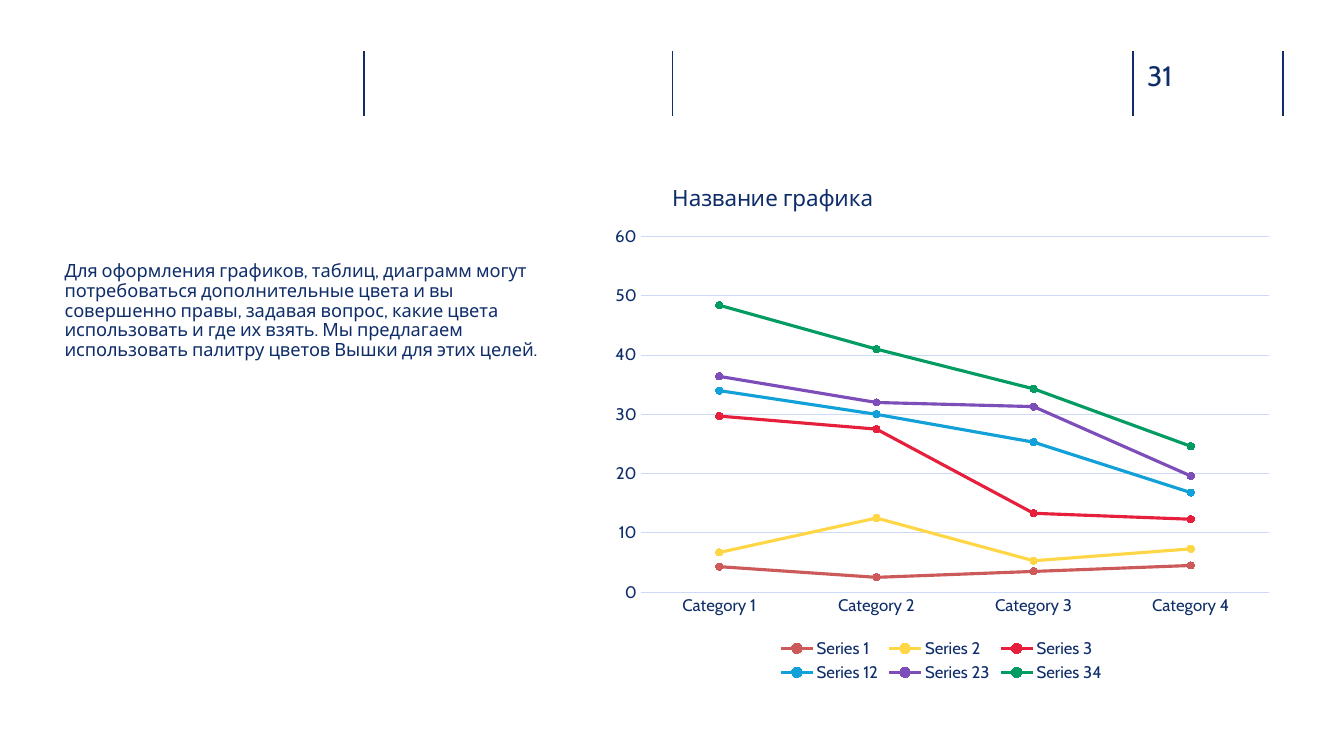
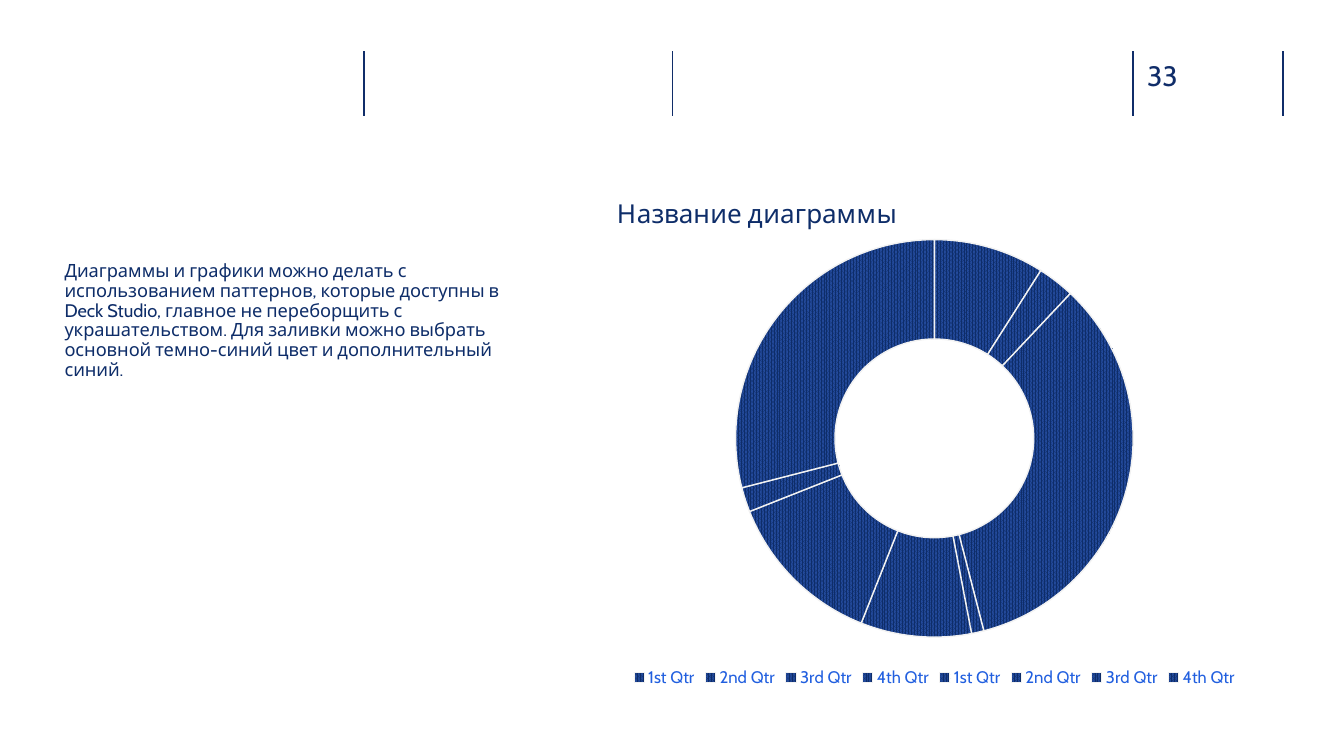
from lxml import etree
from pptx import Presentation
from pptx.chart.data import CategoryChartData
from pptx.dml.color import RGBColor
from pptx.enum import chart as ch, dml, shapes, text
from pptx.oxml import ns
from pptx.util import Pt

FONT = "Cabin"
COLORS = {
    "rule": "102D69", "ink": "0E2D69", "chart": "0F2C68", "grid": "CCDAF8",
    "legend": "215FDF", "pattern": "234A9B", "edge": "F2F2F2",
}
RULES = (259.92, 480.24, 809.28, 916.56)
HEADER = (36.72, 46.08)
NUMBER_BOX = (819.36, 41.76, 52.56, 24.48)
BODY_BOX = (46.08, 187.2, 340.56, 188.64)
LINE_BOX = (428.4, 116.64, 488.16, 373.68)
RING_BOX = (422.64, 117.36, 489.6, 376.56)

LINE_CATS = [f"Category {n}" for n in range(1, 5)]
LINE_SERIES = (
    ("Series 1", (4.3, 2.5, 3.5, 4.5), "CD5A5A", "CD5A5A"),
    ("Series 2", (2.4, 10, 1.8, 2.8), "FFD746", "FFD746"),
    ("Series 3", (23, 15, 8, 5), "E61F3D", "E61F3D"),
    ("Series 12", (4.3, 2.5, 12, 4.5), "11A0D7", "11A0D7"),
    ("Series 23", (2.4, 2, 6, 2.8), "7D4EBA", "96628C"),
    ("Series 34", (12, 9, 3, 5), "029C63", "029C63"),
)
RING_CATS = ["1st Qtr", "2nd Qtr", "3rd Qtr", "4th Qtr"] * 2
RING_VALUES = (9, 3, 34, 1, 9, 13, 2, 29)

LINE_TEXT = (
    "Для оформления графиков, таблиц, диаграмм могут потребоваться "
    "дополнительные цвета и вы совершенно правы, задавая вопрос, какие цвета "
    "использовать и где их взять. Мы предлагаем использовать палитру цветов "
    "Вышки для этих целей."
)
RING_TEXT = (
    "Диаграммы и графики можно делать с использованием паттернов, которые "
    "доступны в Deck Studio, главное не переборщить с украшательством. Для "
    "заливки можно выбрать основной темно-синий цвет и дополнительный синий."
)


def rgb(color):
    return RGBColor.from_string(COLORS.get(color, color))


def points(box):
    return [Pt(v) for v in box]


def set_font(font, size, color):
    font.name, font.size, font.bold = FONT, Pt(size), False
    font.color.rgb = rgb(color)


def set_line(line, color, width):
    line.color.rgb = rgb(color)
    line.width = Pt(width)


def write(tf, content, size, color, spacing=1.0, bottom=0):
    tf.word_wrap = True
    tf.margin_left = tf.margin_top = tf.margin_right = 0
    tf.margin_bottom = Pt(bottom)
    tf.vertical_anchor = text.MSO_ANCHOR.TOP
    p = tf.paragraphs[0]
    p.space_before = Pt(0)
    p.line_spacing = spacing
    r = p.add_run()
    r.text = content
    set_font(r.font, size, color)


def add_header(s, number):
    top, height = HEADER
    for x in RULES:
        rule = s.shapes.add_connector(
            shapes.MSO_CONNECTOR.STRAIGHT, *points((x, top, x, top + height)))
        set_line(rule.line, "rule", 1)
        etree.SubElement(rule.element.spPr, ns.qn("a:effectLst"))
    tf = s.shapes.add_textbox(*points(NUMBER_BOX)).text_frame
    write(tf, number, 20, "rule")
    tf.auto_size = text.MSO_AUTO_SIZE.SHAPE_TO_FIT_TEXT


def add_slide(prs, number, body):
    s = prs.slides.add_slide(prs.slide_layouts[2])
    title = s.shapes.title.element
    title.getparent().remove(title)
    add_header(s, number)
    sp = s.placeholders[1]
    sp.left, sp.top, sp.width, sp.height = points(BODY_BOX)
    write(sp.text_frame, body, 13, "ink", spacing=0.9, bottom=3.6)
    return s


def set_layout(parent, index, target=None, **fractions):
    for old in parent.findall(ns.qn("c:layout")):
        parent.remove(old)
    layout = etree.Element(ns.qn("c:layout"))
    manual = etree.SubElement(layout, ns.qn("c:manualLayout"))
    settings = {"layoutTarget": target} if target else {}
    settings.update(xMode="edge", yMode="edge", **fractions)
    for tag, value in settings.items():
        etree.SubElement(manual, ns.qn(f"c:{tag}")).set("val", str(value))
    parent.insert(index, layout)


def add_chart(s, kind, box, data, title, title_size, title_at, plot_at, legend):
    chart = s.shapes.add_chart(kind, *points(box), data).chart
    set_font(chart.font, 10, "chart")
    chart.has_title = True
    r = chart.chart_title.text_frame.paragraphs[0].add_run()
    r.text = title
    set_font(r.font, title_size, "ink")
    set_layout(chart.chart_title.element, 1, **dict(zip("xy", title_at)))
    plot_area = chart.element.find(".//" + ns.qn("c:plotArea"))
    set_layout(plot_area, 0, "inner", **dict(zip("xywh", plot_at)))
    chart.has_legend = True
    chart.legend.position = ch.XL_LEGEND_POSITION.BOTTOM
    chart.legend.include_in_layout = False
    set_font(chart.legend.font, 12, legend)
    return chart


def format_axis(axis):
    set_font(axis.tick_labels.font, 12, "ink")
    axis.major_tick_mark = axis.minor_tick_mark = ch.XL_TICK_MARK.NONE


def add_line_chart(s, box):
    data = CategoryChartData()
    data.categories = LINE_CATS
    for name, values, *_ in LINE_SERIES:
        data.add_series(name, values)
    chart = add_chart(
        s, ch.XL_CHART_TYPE.LINE_MARKERS_STACKED, box, data, "Название графика",
        16, (0.1, 0.03), (0.06, 0.14, 0.92, 0.68), "ink")
    for axis in (chart.category_axis, chart.value_axis):
        format_axis(axis)
    set_line(chart.category_axis.format.line, "grid", 0.75)
    axis = chart.value_axis
    axis.minimum_scale, axis.maximum_scale, axis.major_unit = 0, 60, 10
    axis.format.line.fill.background()
    set_line(axis.major_gridlines.format.line, "grid", 0.75)
    chart.plots[0].vary_by_categories = False
    for series, (*_, color, marker_color) in zip(chart.plots[0].series, LINE_SERIES):
        series.smooth = False
        set_line(series.format.line, color, 2.25)
        marker = series.marker
        marker.style, marker.size = ch.XL_MARKER_STYLE.CIRCLE, 5
        marker.format.fill.solid()
        marker.format.fill.fore_color.rgb = rgb(marker_color)
        set_line(marker.format.line, color, 0.75)


def add_ring_chart(s, box):
    data = CategoryChartData()
    data.categories = RING_CATS
    data.add_series("Series 1", RING_VALUES)
    chart = add_chart(
        s, ch.XL_CHART_TYPE.DOUGHNUT, box, data, "Название диаграммы",
        18.6, (0.03, 0.05), (0.21, 0.14, 0.58, 0.76), "legend")
    chart.element.find(".//" + ns.qn("c:holeSize")).set("val", "42")
    series = chart.plots[0].series[0]
    for i in range(len(RING_VALUES)):
        fmt = series.points[i].format
        fmt.fill.patterned()
        fmt.fill.pattern = dml.MSO_PATTERN.PERCENT_80
        fmt.fill.fore_color.rgb = rgb("ink")
        fmt.fill.back_color.rgb = rgb("pattern")
        set_line(fmt.line, "edge", 1)


def main():
    prs = Presentation()
    prs.slide_width, prs.slide_height = Pt(960), Pt(540)
    add_line_chart(add_slide(prs, "31", LINE_TEXT), LINE_BOX)
    add_ring_chart(add_slide(prs, "33", RING_TEXT), RING_BOX)
    prs.save("out.pptx")


if __name__ == "__main__":
    main()
